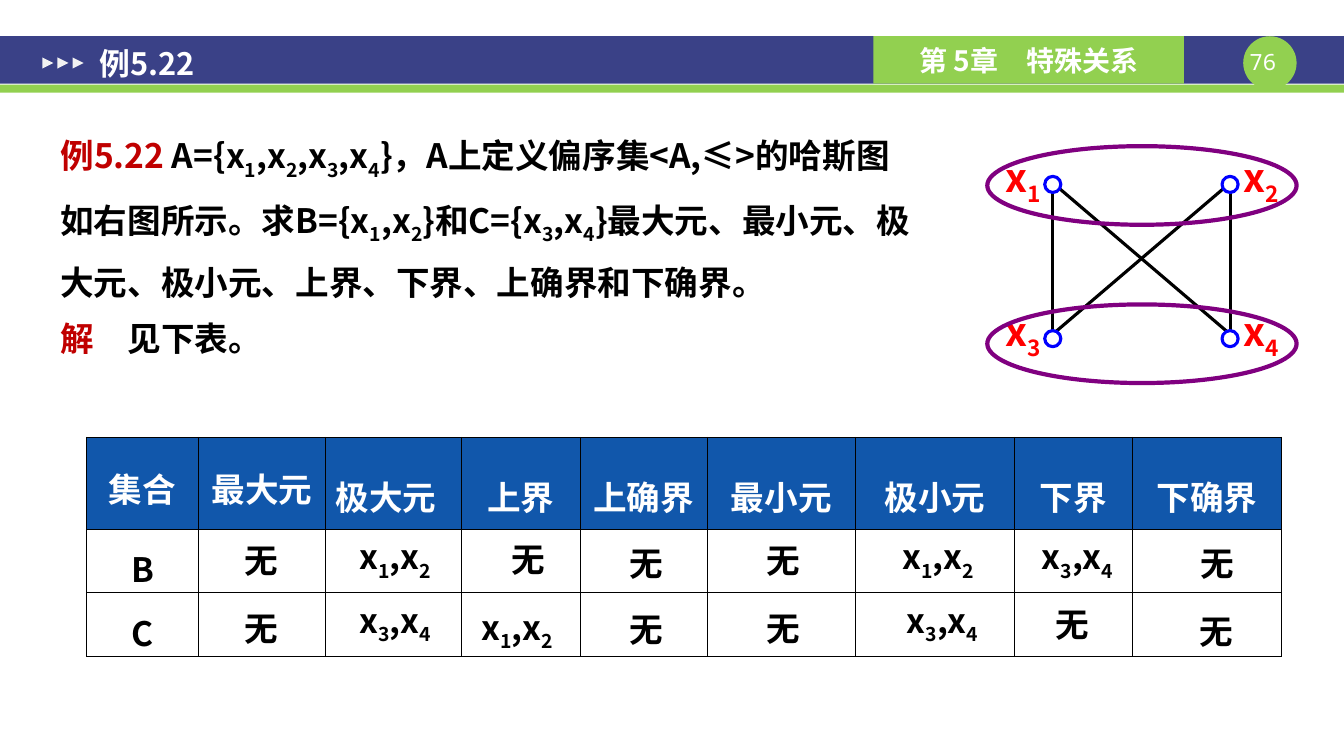
import itertools

import lxml.etree
import pptx
import pptx.dml.color
import pptx.enum.shapes
import pptx.enum.text
import pptx.oxml.ns
import pptx.util

COLOURS = {
    "navy": "3A4187", "green": "92D050", "light": "F2F2F2", "white": "FFFFFF",
    "black": "000000", "crimson": "C00000", "red": "FF0000", "blue": "0000FF",
    "purple": "800080", "header": "1157AB",
}
SHAPES = pptx.enum.shapes.MSO_SHAPE
ALIGN = pptx.enum.text.PP_ALIGN
MIDDLE = pptx.enum.text.MSO_ANCHOR.MIDDLE
TOP = pptx.enum.text.MSO_ANCHOR.TOP
qn = pptx.oxml.ns.qn


class Page:
    """Holds the style and the current slide, measured in grid cells of a tenth of an inch."""

    font = "Noto Sans CJK SC"

    def __init__(self, deck):
        self.slide = deck.slides.add_slide(deck.slide_layouts[6])
        self.shapes = self.slide.shapes

    def grid(self, *cells):
        return [pptx.util.Inches(cell / 10) for cell in cells]

    def colour(self, name):
        return pptx.dml.color.RGBColor.from_string(COLOURS[name])

    def fill_para(self, para, spans, size, align=ALIGN.LEFT, spacing=None, font=None):
        para.alignment = align
        if spacing:
            para.line_spacing = spacing
        name = font or self.font
        para.font.size = pptx.util.Pt(size)
        para.font.bold = font is None
        para.font.name = name
        defaults = para._p.pPr.find(qn("a:defRPr"))
        lxml.etree.SubElement(defaults, qn("a:ea"), typeface=name)
        if len(spans) == 1:
            para.font.color.rgb = self.colour(spans[0][1])
        for text, colour in spans:
            first, *others = text.split("_")
            pieces = [(first, False)]
            for other in others:
                pieces += [(other[0], True), (other[1:], False)]
            for piece, lowered in pieces:
                if not piece:
                    continue
                span = para.add_run()
                span.text = piece
                if len(spans) > 1:
                    span.font.color.rgb = self.colour(colour)
                if lowered:
                    span._r.get_or_add_rPr().set("baseline", "-25000")

    def shape(self, kind, area, fill=None, line=None, width=0, turn=0):
        shape = self.shapes.add_shape(kind, *self.grid(*area))
        shape.shadow.inherit = False
        shape.rotation = turn
        if fill:
            shape.fill.solid()
            shape.fill.fore_color.rgb = self.colour(fill)
        else:
            shape.fill.background()
        if line:
            shape.line.color.rgb = self.colour(line)
            shape.line.width = pptx.util.Pt(width)
        else:
            shape.line.fill.background()
        return shape

    def text(self, area, lines, size, insets=(1, 0.5), anchor=TOP, wrap=False, **style):
        box = self.shapes.add_textbox(*self.grid(*area))
        frame = box.text_frame
        frame.word_wrap = wrap
        frame.vertical_anchor = anchor
        frame.margin_left, frame.margin_top = self.grid(*insets)
        frame.margin_right, frame.margin_bottom = self.grid(*insets)
        for index, spans in enumerate(lines):
            para = frame.add_paragraph() if index else frame.paragraphs[0]
            self.fill_para(para, spans, size, **style)

    def line(self, start, end, width):
        line = self.shapes.add_connector(
            pptx.enum.shapes.MSO_CONNECTOR.STRAIGHT, *self.grid(*start, *end))
        line.line.color.rgb = self.colour("black")
        line.line.width = pptx.util.Pt(width)
        lxml.etree.SubElement(line._element.spPr, qn("a:effectLst"))

    def table(self, area, columns, rows):
        table = self.shapes.add_table(len(rows), len(columns), *self.grid(*area)).table
        table.first_row = table.horz_banding = False
        for column, width in zip(table.columns, self.grid(*columns)):
            column.width = width
        for row, height in zip(table.rows, self.grid(*rows)):
            row.height = height
        for cell in table.iter_cells():
            cell.vertical_anchor = MIDDLE
            properties = cell._tc.get_or_add_tcPr()
            for side in ("lnL", "lnR", "lnT", "lnB"):
                edge = lxml.etree.SubElement(properties, qn("a:" + side), w="12700")
                fill = lxml.etree.SubElement(edge, qn("a:solidFill"))
                lxml.etree.SubElement(fill, qn("a:srgbClr"), val=COLOURS["black"])
            cell.fill.solid()
            cell.fill.fore_color.rgb = self.colour("white")
        return table


def draw_header(page):
    """Draw the title band, chapter label and page number."""
    page.shape(SHAPES.RECTANGLE, (0, 3.6, 133.4, 4.7), "navy")
    page.shape(SHAPES.RECTANGLE, (0, 8.4, 133.4, 0.8), "green")
    page.shape(SHAPES.OVAL, (123.4, 3.6, 5.3, 5.3), "green")
    page.text((122.7, 4.8, 5.3, 2.7), [[("76", "white")]], 16, insets=(0, 0),
              align=ALIGN.CENTER, font="Noto Sans Mono")
    chapter = page.shape(SHAPES.RECTANGLE, (86.7, 3.6, 30.8, 4.7), "green")
    chapter.text_frame.vertical_anchor = MIDDLE
    page.fill_para(chapter.text_frame.paragraphs[0], [("第 5章　特殊关系", "white")], 20,
                   ALIGN.CENTER)
    for index in range(3):
        page.shape(SHAPES.ISOSCELES_TRIANGLE, (4.2 + 1.5 * index, 5.7, 1.1, 1.1), "light", turn=90)
    page.text((8.6, 3.1, 117.7, 6.4), [[("例5.22", "white")]], 22,
              insets=(1.3, 0.7), anchor=MIDDLE, wrap=True)


def draw_problem(page):
    """Set out the problem statement."""
    page.text((4.7, 10.9, 125.3, 24.4), [
        [("例5.22 ", "crimson"), ("A={x_1,x_2,x_3,x_4}，A上定义偏序集<A,≤>的哈斯图", "black")],
        [("如右图所示。求B={x_1,x_2}和C={x_3,x_4}最大元、最小元、极", "black")],
        [("大元、极小元、上界、下界、上确界和下确界。", "black")],
        [("解　", "crimson"), ("见下表。", "black")],
    ], 24, insets=(1.3, 0.7), wrap=True, spacing=1.4)


def draw_answers(page):
    """Draw the table and the answers laid over it."""
    table = page.table((8.6, 43.4, 118.8, 21.8),
                       (11.1, 12.6, 13.5, 11.8, 12.6, 14.7, 15.8, 11.7, 14.8), (9.1, 6.3, 6.3))
    headings = "集合 最大元 极大元 上界 上确界 最小元 极小元 下界 下确界".split()
    for index, heading in enumerate(headings):
        cell = table.cell(0, index)
        cell.fill.fore_color.rgb = page.colour("header")
        page.fill_para(cell.text_frame.paragraphs[0], [(heading, "white")], 24,
                       ALIGN.LEFT if heading == "极大元" else ALIGN.CENTER,
                       1.2 if index < 2 else 1.5)
    for row, name in enumerate("BC", 1):
        page.fill_para(table.cell(row, 0).text_frame.paragraphs[0], [(name, "black")], 24,
                       ALIGN.CENTER, 1.2)
    none, upper, lower = "无", "x_1,x_2", "x_3,x_4"
    answers = [
        (none, 23.2, 53.1), (upper, 34.4, 52.7), (none, 49.7, 53), (none, 61.4, 53.4),
        (none, 75.1, 53.1), (upper, 88.3, 52.7), (lower, 102.1, 52.7), (none, 118.1, 53.4),
        (none, 23.2, 59.8), (lower, 34.4, 59), (upper, 46.5, 59.7), (none, 61.5, 59.9),
        (none, 75, 59.8), (lower, 88.7, 59), (none, 103.7, 59.4), (none, 118, 60.1),
    ]
    for answer, left, top in answers:
        width = 5.4 if answer == none else 9.7
        page.text((left, top, width, 5), [[(answer, "black")]], 24, align=ALIGN.CENTER)


def draw_hasse(page):
    """Draw the Hasse diagram with its two subsets ringed."""
    columns, rows = (104.5, 122.1), (18.3, 33.6)
    for upper, lower in itertools.product(columns, columns):
        slant = 0.3 * ((lower > upper) - (lower < upper))
        page.line((upper + slant, rows[0] + 0.1), (lower - slant, rows[1] - 0.7), 2.25)
    nodes = itertools.product(rows, zip(columns, (99.8, 123.4)))
    for number, (row, (column, label)) in enumerate(nodes, 1):
        page.text((label, row - 3.1, 3.9, 4.7), [[(f"x_{number}", "red")]], 28, insets=(0, 0))
        page.shape(SHAPES.OVAL, (column - 0.8, row - 0.8, 1.6, 1.6), "white", "blue", 2.25)
    for top in (14.5, 30.2):
        page.shape(SHAPES.OVAL, (98, top, 30.7, 7.8), line="purple", width=3)


def main():
    """Build and save the slide."""
    deck = pptx.Presentation()
    deck.slide_width = pptx.util.Inches(13.34)
    deck.slide_height = pptx.util.Inches(7.5)
    page = Page(deck)
    draw_header(page)
    draw_problem(page)
    draw_answers(page)
    draw_hasse(page)
    deck.save("out.pptx")


if __name__ == "__main__":
    main()
